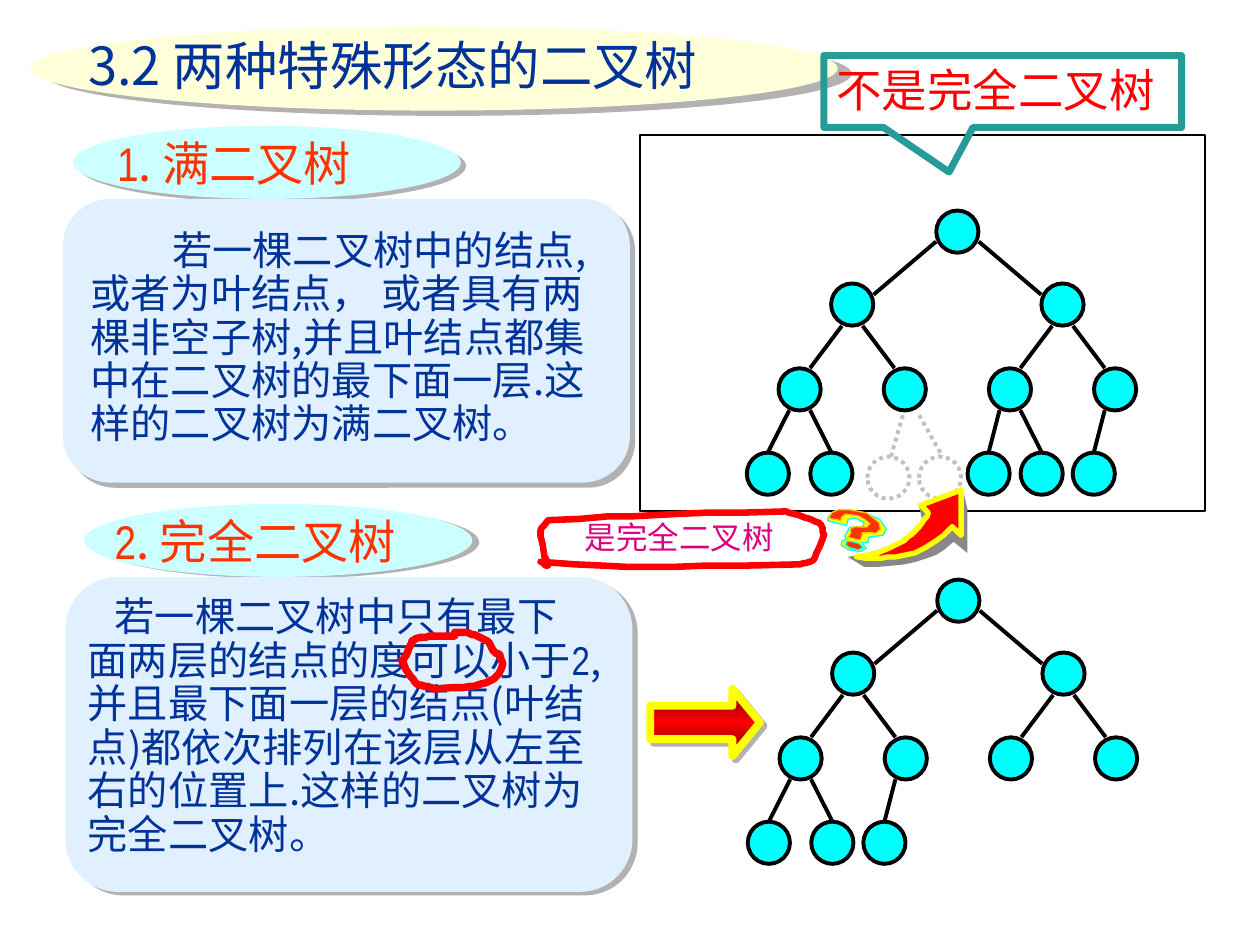
import copy

import lxml.etree
import pptx
import pptx.dml.color
import pptx.enum.dml
import pptx.enum.shapes
import pptx.enum.text
import pptx.oxml.ns
import pptx.util

Cm = pptx.util.Cm
SHAPE = pptx.enum.shapes.MSO_SHAPE
ALIGN = pptx.enum.text.PP_ALIGN
DOTTED = pptx.enum.dml.MSO_LINE.ROUND_DOT
qn = pptx.oxml.ns.qn
CJK, NARROW = "Noto Sans CJK SC", "Arial Narrow"
NODE = 0.85
LEVELS = [0, 1.47, 3.18, 4.88]
THIRD_LEVEL = [-3.18, -1.06, 1.06, 3.18]
EDGE_ENDS = [((0.43, 0.2), (0.43, 0.2)), ((0.21, 0.43), (0.21, 0.43)), ((0.21, 0.42), (0, 0.43))]

FULL_TREE = ["若一棵二叉树中的结点,", "或者为叶结点， 或者具有两", "棵非空子树,并且叶结点都集",
             "中在二叉树的最下面一层.这", "样的二叉树为满二叉树。"]
COMPLETE_TREE = ["若一棵二叉树中只有最下", "面两层的结点的度可以小于|2|,", "并且最下面一层的结点(叶结",
                 "点)都依次排列在该层从左至", "右的位置上.这样的二叉树为", "完全二叉树。"]

ARROW_SHADE = [(84, 43), (77, 49), (71, 53), (63, 56), (54, 59), (45, 61), (35, 62), (24, 63),
               (13, 63), (0, 55), (6, 54), (12, 53), (19, 51), (26, 49), (32, 47), (40, 43),
               (47, 38), (52, 33), (56, 29), (59, 25), (56, 13), (91, 0), (95, 17), (95, 52)]
CURVED_ARROW = [(83, 31), (76, 38), (69, 43), (61, 48), (53, 52), (48, 53), (43, 54), (38, 55),
                (32, 55), (27, 56), (20, 56), (14, 56), (7, 55), (13, 54), (18, 53), (23, 52),
                (28, 50), (33, 48), (37, 46), (41, 44), (45, 42), (48, 39), (51, 37), (54, 34),
                (57, 31), (59, 28), (61, 25), (63, 23), (64, 20), (58, 14), (90, 2), (90, 38)]
QUESTION_RIM = [(17, 8), (22, 6), (30, 9), (29, 12), (19, 14), (16, 21), (17, 24), (14, 26),
                (14, 29), (21, 32), (30, 32), (34, 29), (30, 25), (35, 24), (35, 20), (46, 17),
                (48, 12), (42, 5), (29, 1), (14, 1), (5, 3), (1, 8), (1, 11), (16, 13)]
QUESTION_HOOK = [(2, 9), (9, 9), (12, 10), (12, 7), (15, 4), (25, 4), (30, 6), (35, 9),
                 (33, 12), (23, 13), (20, 15), (21, 18), (19, 22), (29, 23), (30, 20), (30, 17),
                 (36, 16), (41, 16), (44, 12), (42, 7), (32, 1), (19, 0), (9, 1), (4, 4)]
QUESTION_DOT = [(21, 25), (17, 25), (16, 28), (19, 30), (26, 31), (30, 29), (27, 26)]
WORD_RING = [(42, 6), (31, 7, 21, 5, 11, 8), (7, 10, 6, 16, 4, 20), (3, 22, 0, 26, 0, 26),
             (1, 28, 8, 41, 12, 44), (17, 46, 22, 46, 26, 48), (68, 45, 52, 48, 73, 40),
             (78, 35, 83, 29, 78, 22), (77, 20, 75, 20, 73, 18), (71, 16, 71, 12, 68, 10),
             (63, 6, 57, 6, 52, 3), (41, 5, 42, 0, 42, 6)]
ANSWER_RING = [(3, 40), (85, 46, 82, 44, 209, 42), (218, 40, 218, 41, 222, 33),
               (225, 29, 228, 19, 228, 19), (227, 16, 227, 12, 225, 10), (224, 8, 202, 1, 198, 0),
               (96, 2, 84, 3, 9, 7), (0, 19, 2, 13, 6, 35), (7, 38, 10, 42, 9, 42), (8, 44, 5, 41, 3, 40)]


def color(hex_value):
    """Turn a hex string into a colour."""
    return pptx.dml.color.RGBColor.from_string(hex_value)


def paint(shape, fill=None, line=None, width=1, dash=None, shadow=None):
    """Set fill, outline and (distance, degrees) shadow of a shape."""
    if fill:
        shape.fill.solid()
        shape.fill.fore_color.rgb = color(fill)
    else:
        shape.fill.background()
    outline(shape, line, width, dash)
    shape.shadow.inherit = False
    if shadow:
        effects = shape.element.spPr.find(qn("a:effectLst"))
        outer = lxml.etree.SubElement(effects, qn("a:outerShdw"), dist=str(pptx.util.Pt(shadow[0])),
                                      dir=str(shadow[1] * 60000), algn="ctr", rotWithShape="0")
        lxml.etree.SubElement(outer, qn("a:srgbClr"), val="B2B2B2")
    return shape


def outline(shape, line, width, dash=None):
    """Set the outline, or remove it when no colour is given."""
    if not line:
        shape.line.fill.background()
        return
    for name, value in {"width": pptx.util.Pt(width), "dash_style": dash}.items():
        setattr(shape.line, name, value)
    shape.line.color.rgb = color(line)


def add_shape(slide, kind, box, **look):
    """Add a painted preset shape in a box given in centimetres."""
    return paint(slide.shapes.add_shape(kind, *map(Cm, box)), **look)


def add_edge(slide, start, end, line="000000", dash=None):
    """Add a straight tree edge."""
    edge = slide.shapes.add_connector(pptx.enum.shapes.MSO_CONNECTOR.STRAIGHT, *map(Cm, start + end))
    outline(edge, line, 2.25, dash)
    lxml.etree.SubElement(edge.element.spPr, qn("a:effectLst"))


def add_outline(slide, origin, points, **look):
    """Add a closed outline with points in hundredths of an inch from origin."""
    builder = slide.shapes.build_freeform(*points[0], scale=Cm(2.54) / 100)
    builder.add_line_segments(points[1:], close=True)
    return paint(builder.convert_to_shape(*map(Cm, origin)), **look)


def flatten(curve, steps=8):
    """Sample a chain of cubic Bezier segments as points."""
    points = [curve[0]]
    for x1, y1, x2, y2, x3, y3 in curve[1:]:
        x0, y0 = points[-1]
        for t in (step / steps for step in range(1, steps + 1)):
            weights = ((1 - t) ** 3, 3 * t * (1 - t) ** 2, 3 * t * t * (1 - t), t ** 3)
            points.append(tuple(sum(w * v for w, v in zip(weights, axis))
                                for axis in ((x0, x1, x2, x3), (y0, y1, y2, y3))))
    return points


def write(shape, lines, size, ink, latin=CJK, align=ALIGN.LEFT, indent=0, spacing=1.0):
    """Write lines of text; a bar switches between CJK and narrow letters."""
    frame = shape.text_frame
    settings = {"word_wrap": True, "auto_size": pptx.enum.text.MSO_AUTO_SIZE.NONE,
                "vertical_anchor": pptx.enum.text.MSO_ANCHOR.TOP}
    for name, value in settings.items():
        setattr(frame, name, value)
    for number, line in enumerate(lines):
        paragraph = frame.add_paragraph() if number else frame.paragraphs[0]
        paragraph.alignment, paragraph.line_spacing = align, spacing
        if indent and not number:
            paragraph._p.get_or_add_pPr().set("indent", str(Cm(indent)))
        for part, text in enumerate(line.split("|")):
            if text:
                run = paragraph.add_run()
                run.text = text
                font_values = {"size": pptx.util.Pt(size), "name": NARROW if part % 2 else latin}
                for name, value in font_values.items():
                    setattr(run.font, name, value)
                run.font.color.rgb = color(ink)
                lxml.etree.SubElement(run.font._element, qn("a:ea"), typeface=CJK)


def draw_title(slide, left, top, width, height):
    """Place the slide title over its oval."""
    add_shape(slide, SHAPE.OVAL, (left, top, width, height), fill="FFFFD9", shadow=(8.5, 21))
    title = slide.shapes.title
    place = {"left": left + 0.91, "top": top, "width": width + 0.26, "height": 1.52}
    for name, value in place.items():
        setattr(title, name, Cm(value))
    write(title, ["3.2 两种特殊形态的二叉树"], 30, "003399")
    title.element.getparent().append(title.element)


def draw_heading(slide, left, top, inset, text, shadow):
    """Draw a numbered section heading on an oval."""
    add_shape(slide, SHAPE.OVAL, (left, top, 7.82, 1.47), fill="CCFFFF", shadow=shadow)
    label = slide.shapes.add_textbox(*map(Cm, (left + inset, top + 0.04, 8, 1.4)))
    write(label, [text], 27, "FF3300")


def draw_definition(slide, left, top, width, height, inset, lines, indent, shadow):
    """Draw a rounded panel holding a definition."""
    add_shape(slide, SHAPE.ROUNDED_RECTANGLE, (left, top, width, height), fill="E1F0FF", shadow=shadow)
    dx, dy = inset
    label = slide.shapes.add_textbox(*map(Cm, (left + dx, top + dy, width, height - 2 * dy)))
    write(label, lines, 23, "003399", indent=indent, spacing=0.9)


def add_node(slide, x, y, **look):
    """Draw a tree node centred on a point."""
    look = look or {"fill": "00FFFF", "line": "000000"}
    add_shape(slide, SHAPE.OVAL, (x - NODE / 2, y - NODE / 2, NODE, NODE), width=2.25, **look)


def draw_tree(slide, x, y, leaves):
    """Draw a binary tree below its root; leaves are (parent index, shift)."""
    nodes = [(0, 0, None), (-2.12, 1, 0), (2.12, 1, 0)]
    nodes += [(shift, 2, (-2.12, 2.12)[i // 2]) for i, shift in enumerate(THIRD_LEVEL)]
    nodes += [(THIRD_LEVEL[i] + shift, 3, THIRD_LEVEL[i]) for i, shift in leaves]
    for dx, level, parent in nodes:
        add_node(slide, x + dx, y + LEVELS[level])
        if level:
            side = 1 if dx > parent else -1
            (ax, ay), (bx, by) = EDGE_ENDS[level - 1]
            add_edge(slide, (x + parent + side * ax, y + LEVELS[level - 1] + ay),
                     (x + dx - side * bx, y + LEVELS[level] - by))


def draw_counterexample(slide, left, top, width, height):
    """Draw the framed tree that lacks two leaves, shown dotted."""
    add_shape(slide, SHAPE.RECTANGLE, (left, top, width, height), fill="FFFFFF", line="000000")
    x, y = left + 6.4, top + 1.95
    draw_tree(slide, x, y, [(0, -0.64), (0, 0.64), (2, -0.43), (2, 0.64), (3, -0.43)])
    parent_x, leaf_y = x + THIRD_LEVEL[1], y + LEVELS[3] + 0.08
    for leaf_shift, edge_shift in ((-0.33, -0.04), (0.71, 0.29)):
        add_node(slide, parent_x + leaf_shift, leaf_y, line="C0C0C0", dash=DOTTED)
        add_edge(slide, (parent_x + edge_shift, y + LEVELS[2] + 0.52),
                 (parent_x + leaf_shift + 0.05, leaf_y - NODE / 2), "C0C0C0", DOTTED)


def draw_callout(slide, *box):
    """Draw the verdict callout above the counterexample."""
    callout = add_shape(slide, SHAPE.RECTANGULAR_CALLOUT, box, line="269B98", width=4)
    callout.adjustments[0], callout.adjustments[1] = -0.15, 1.12
    write(callout, ["不是完全二叉树"], 26, "FF0000")


def draw_question(slide, left, top):
    """Draw the ringed claim, the curved arrow and the question mark."""
    add_outline(slide, (left + 6.27, top - 0.48), ARROW_SHADE, fill="888888")
    add_outline(slide, (left + 6.27, top - 0.48), CURVED_ARROW, fill="FF0000", line="FFFF00", width=3)
    claim = slide.shapes.add_textbox(*map(Cm, (left + 0.08, top, 5.59, 1.27)))
    write(claim, ["是完全二叉树"], 18, "DC0081", NARROW, ALIGN.CENTER)
    add_outline(slide, (left, top), flatten(ANSWER_RING), line="FF0000", width=3.75)
    for points, fill, line in ((QUESTION_RIM, "FFFF00", "00FFFF"), (QUESTION_HOOK, "FF3300", "FFCC00"),
                               (QUESTION_DOT, "FF3300", "00FFFF")):
        add_outline(slide, (left + 5.82, top - 0.02), points, fill=fill, line=line, width=0.75).rotation = 7


def draw_red_arrow(slide, *box):
    """Draw the shaded arrow pointing at the complete tree."""
    arrow = add_shape(slide, SHAPE.RIGHT_ARROW, box, line="FFFF00", width=4.5, shadow=(2.8, 45))
    arrow.adjustments[1] = 0.41
    arrow.fill.gradient()
    arrow.fill.gradient_angle = 90
    stops = arrow.element.spPr.find(".//" + qn("a:gsLst"))
    stops.insert(1, copy.deepcopy(stops[0]))
    for stop, position, shade in zip(arrow.fill.gradient_stops, (0, 0.5, 1), ("760000", "FF0000", "760000")):
        stop.position, stop.color.rgb = position, color(shade)


def main():
    """Build the slide on two kinds of binary tree."""
    deck = pptx.Presentation()
    deck.slide_width, deck.slide_height = Cm(25.4), Cm(19.05)
    slide = deck.slides.add_slide(deck.slide_layouts[5])
    draw_title(slide, 0.61, 0.53, 16.28, 1.7)
    draw_heading(slide, 1.47, 2.54, 0.64, "|1|. 满二叉树", (3.6, 34))
    draw_heading(slide, 1.7, 10.16, 0.36, "|2|. 完全二叉树", (4.1, 14))
    draw_definition(slide, 1.27, 4.01, 11.43, 5.72, (0.3, 0.51), FULL_TREE, 1.65, (4.2, 45))
    draw_definition(slide, 1.32, 11.63, 11.43, 6.35, (0.2, 0.28), COMPLETE_TREE, 0.54, (3.6, 34))
    add_outline(slide, (8.1, 12.67), flatten(WORD_RING), line="FF0000", width=4.25)
    draw_tree(slide, 19.32, 12.11, [(0, -0.64), (0, 0.64), (1, -0.43)])
    draw_red_arrow(slide, 13.11, 13.89, 2.21, 1.35)
    draw_counterexample(slide, 12.9, 2.72, 11.4, 7.59)
    draw_question(slide, 10.82, 10.31)
    draw_callout(slide, 16.61, 1.12, 7.21, 1.45)
    deck.save("out.pptx")


if __name__ == "__main__":
    main()
